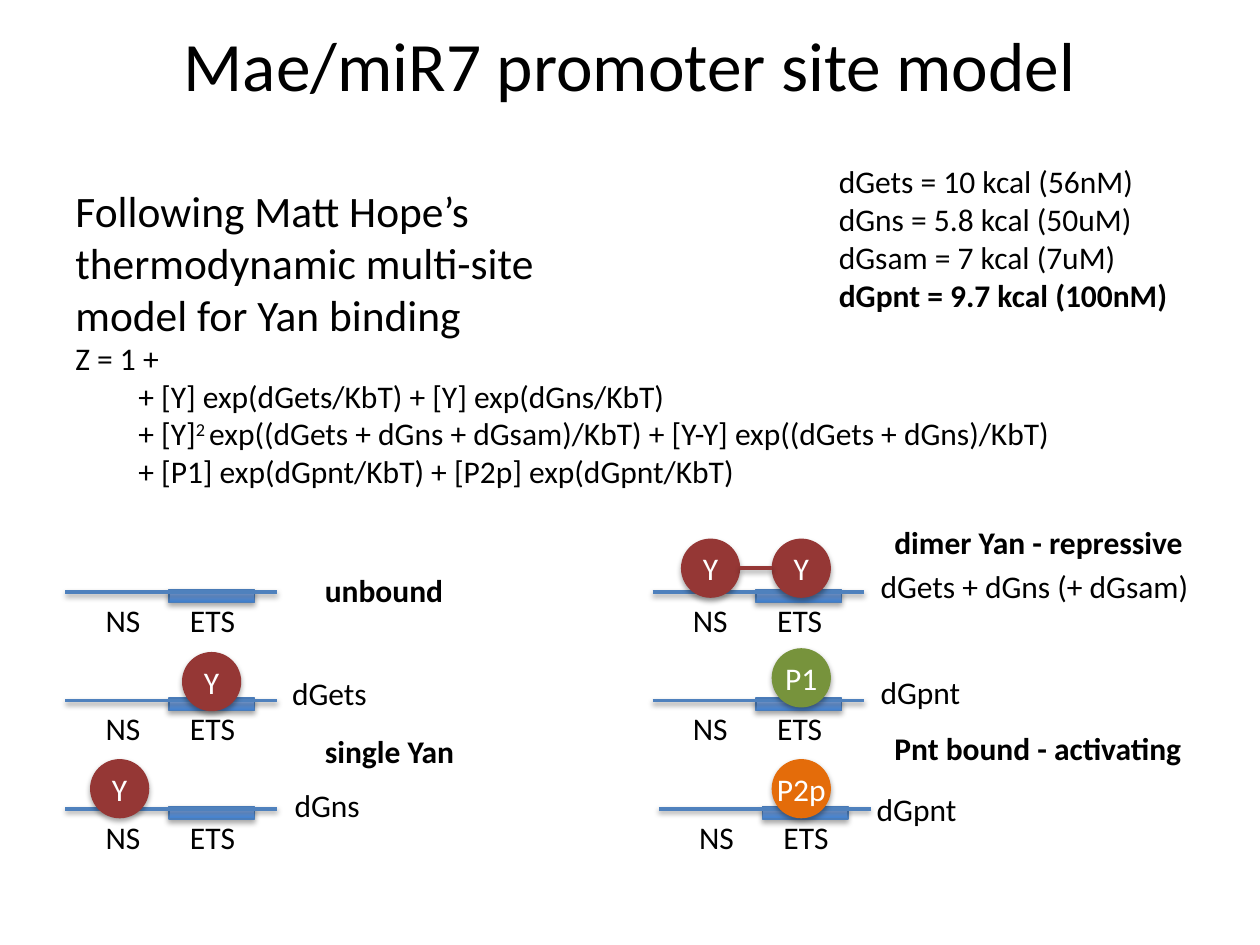
import pptx
import pptx.dml.color
import pptx.enum.shapes
import pptx.enum.text
import pptx.oxml
import pptx.oxml.ns
import pptx.util

Inches = pptx.util.Inches
Pt = pptx.util.Pt
SHAPES = pptx.enum.shapes.MSO_SHAPE
ANCHOR = pptx.enum.text.MSO_ANCHOR
ALIGN = pptx.enum.text.PP_ALIGN
AUTO_SIZE = pptx.enum.text.MSO_AUTO_SIZE


def color(value):
    return pptx.dml.color.RGBColor.from_string(value)


class SiteSlide:
    font = "Calibri"
    size = 18
    ink = "000000"
    light = "FFFFFF"
    strand = "4F81BD"
    site_edge = "4B7EBC"
    site_stops = ("3F80CE", "A4C4FF")
    yan = "953735"

    def __init__(self, presentation):
        self.slide = presentation.slides.add_slide(presentation.slide_layouts[6])

    def style(self, paragraph, size=None, ink=None, bold=False):
        for run in paragraph.runs:
            run.font.name = self.font
            run.font.size = Pt(size or self.size)
            run.font.color.rgb = color(ink or self.ink)
            run.font.bold = bold

    def shadow(self, shape, distance, alpha):
        shape._element.spPr.append(pptx.oxml.parse_xml(
            f'<a:effectLst {pptx.oxml.ns.nsdecls("a")}>'
            f'<a:outerShdw blurRad="{Pt(3.1)}" dist="{Pt(distance)}" dir="5400000" rotWithShape="0">'
            f'<a:srgbClr val="000000"><a:alpha val="{alpha * 1000}"/></a:srgbClr>'
            '</a:outerShdw></a:effectLst>'))

    def text(self, text, left, top, width, height=0.4, size=None, bold=False,
             wrap=False, grow=True, shapes=None):
        box = (shapes or self.slide.shapes).add_textbox(
            Inches(left), Inches(top), Inches(width), Inches(height))
        frame = box.text_frame
        frame.text = text
        frame.word_wrap = wrap
        frame.auto_size = AUTO_SIZE.SHAPE_TO_FIT_TEXT if grow else AUTO_SIZE.NONE
        for paragraph in frame.paragraphs:
            self.style(paragraph, size, bold=bold)
        return frame

    def title(self, text):
        frame = self.text(text, 0.5, 0.16, 9, 0.69, size=39.6, wrap=True, grow=False)
        frame.vertical_anchor = ANCHOR.MIDDLE
        frame.paragraphs[0].alignment = ALIGN.CENTER

    def partition_function(self, first, terms):
        frame = self.text(first, 0.5, 2.64, 8.66, 1.62, wrap=True)
        for term in terms:
            paragraph = frame.add_paragraph()
            paragraph.level = 1
            properties = paragraph._p.get_or_add_pPr()
            properties.set("marL", str(Inches(0.5)))
            properties.set("indent", "0")
            for index, part in enumerate(term):
                run = paragraph.add_run()
                run.text = part
                if index == 1:
                    run.font._element.set("baseline", "30000")
            self.style(paragraph)

    def line(self, left, right, y, ink, shapes=None):
        connector = (shapes or self.slide.shapes).add_connector(
            pptx.enum.shapes.MSO_CONNECTOR.STRAIGHT,
            Inches(left), Inches(y), Inches(right), Inches(y))
        connector.line.color.rgb = color(ink)
        connector.line.width = Pt(2)
        self.shadow(connector, 1.6, 38)

    def promoter(self, left, y):
        shapes = self.slide.shapes.add_group_shape().shapes
        self.line(left, left + 1.68, y, self.strand, shapes)
        site = shapes.add_shape(SHAPES.RECTANGLE, Inches(left + 0.82), Inches(y - 0.02),
                                Inches(0.68), Inches(0.1))
        site.fill.gradient()
        site.fill.gradient_angle = 90
        for stop, value, position in zip(site.fill.gradient_stops, self.site_stops, (0, 1)):
            stop.color.rgb = color(value)
            stop.position = position
        site.line.color.rgb = color(self.site_edge)
        site.line.width = Pt(0.75)
        self.shadow(site, 1.8, 35)
        self.text("ETS", left + 0.89, y + 0.02, 0.57, shapes=shapes)
        self.text("NS", left + 0.22, y + 0.02, 0.48, shapes=shapes)

    def protein(self, label, left, top, fill):
        shape = self.slide.shapes.add_shape(SHAPES.OVAL, Inches(left), Inches(top),
                                            Inches(0.46), Inches(0.46))
        shape.fill.solid()
        shape.fill.fore_color.rgb = color(fill)
        shape.line.color.rgb = color(fill)
        shape.line.width = Pt(0.75)
        self.shadow(shape, 1.8, 35)
        frame = shape.text_frame
        frame.text = label
        frame.word_wrap = False
        frame.vertical_anchor = ANCHOR.MIDDLE
        frame.paragraphs[0].alignment = ALIGN.CENTER
        self.style(frame.paragraphs[0], ink=self.light)


def main():
    presentation = pptx.Presentation()
    presentation.slide_width = Inches(10)
    presentation.slide_height = Inches(7.5)
    page = SiteSlide(presentation)

    page.title("Mae/miR7 promoter site model")
    page.text("Following Matt Hope’s thermodynamic multi-site model for Yan binding",
              0.5, 1.41, 4.29, 1.16, size=24.8, wrap=True, grow=False)
    page.partition_function("Z = 1 +", [
        ["+ [Y] exp(dGets/KbT) + [Y] exp(dGns/KbT)"],
        ["+ [Y]", "2 ", "exp((dGets + dGns + dGsam)/KbT) + [Y-Y] exp((dGets + dGns)/KbT)"],
        ["+ [P1] exp(dGpnt/KbT) + [P2p] exp(dGpnt/KbT)"],
    ])

    rows = (4.7, 5.56, 6.42)
    for lefts in ((0.52, 0.52, 0.52), (5.18, 5.18, 5.23)):
        for left, y in zip(lefts, rows):
            page.promoter(left, y)

    for label, left, top, fill in [
        ("Y", 1.45, 5.18, page.yan),
        ("Y", 0.72, 6.03, page.yan),
        ("Y", 6.13, 4.28, page.yan),
        ("Y", 5.41, 4.28, page.yan),
        ("P1", 6.13, 5.15, "77933C"),
        ("P2p", 6.13, 6.03, "E46C0A"),
    ]:
        page.protein(label, left, top, fill)
    page.line(5.87, 6.13, 4.51, page.yan)

    for label, left, top, width in [
        ("unbound", 2.48, 4.48, 1.15),
        ("single Yan", 2.48, 5.76, 1.26),
        ("dimer Yan - repressive", 7, 4.1, 2.54),
        ("Pnt bound - activating", 7, 5.74, 2.52),
    ]:
        page.text(label, left, top, width, bold=True)
    for label, left, top, width in [
        ("dGets", 2.22, 5.3, 0.81),
        ("dGns", 2.24, 6.19, 0.73),
        ("dGets + dGns (+ dGsam)", 6.89, 4.45, 2.67),
        ("dGpnt", 6.89, 5.29, 0.85),
        ("dGpnt", 6.86, 6.22, 0.85),
    ]:
        page.text(label, left, top, width)

    energies = page.text("dGets = 10 kcal (56nM)\ndGns = 5.8 kcal (50uM)\n"
                         "dGsam = 7 kcal (7uM)\ndGpnt = 9.7 kcal (100nM)",
                         6.56, 1.24, 2.84, 1.62)
    page.style(energies.paragraphs[-1], bold=True)

    presentation.save("out.pptx")


if __name__ == "__main__":
    main()
